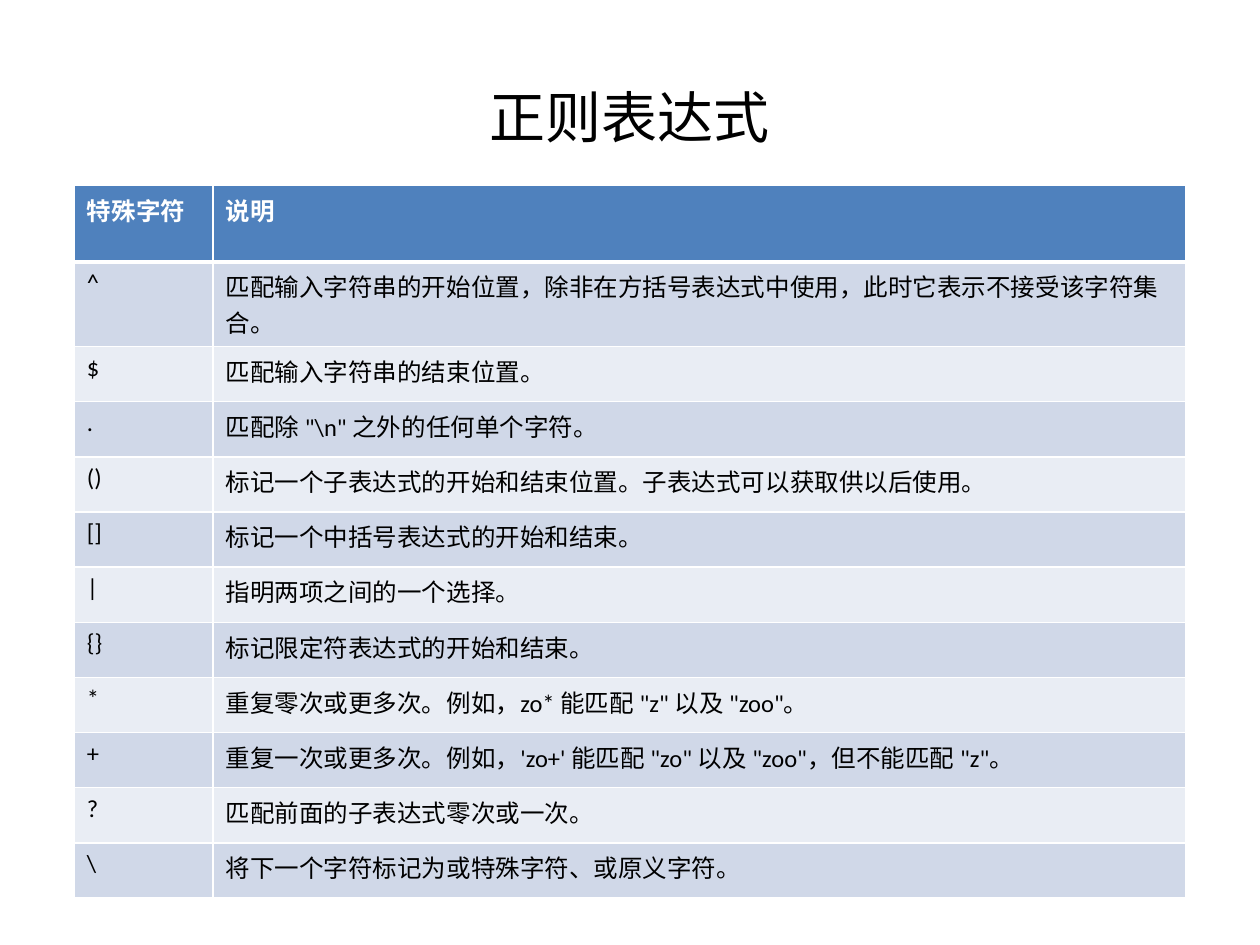
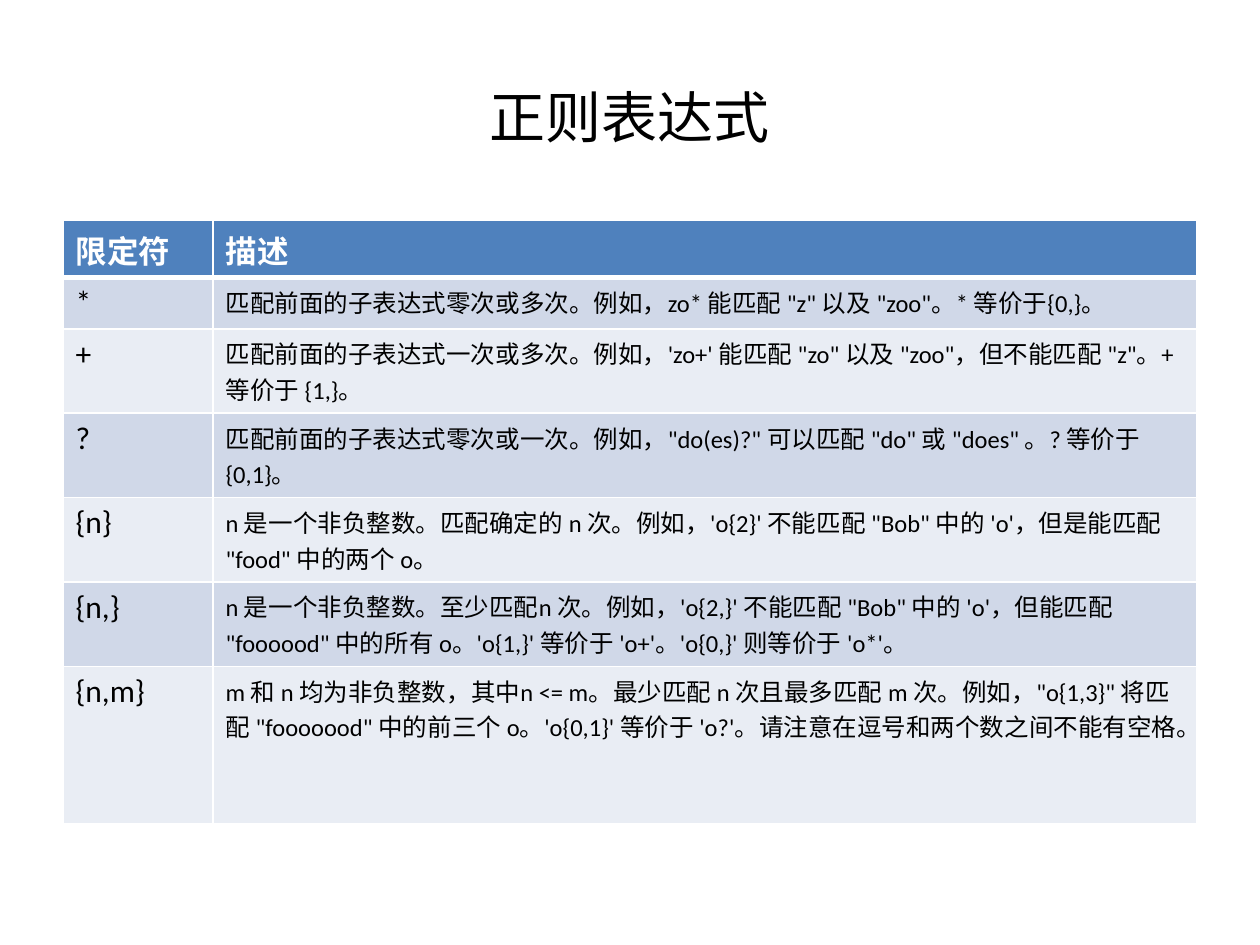
from dataclasses import dataclass

from lxml import etree
from pptx import Presentation
from pptx import util as u
from pptx.dml.color import RGBColor
from pptx.enum import text
from pptx.oxml import ns


@dataclass(frozen=True)
class Theme:
    font: str = "Calibri"
    background: str = "FFFFFF"
    ink: str = "000000"
    header_ink: str = "FFFFFF"
    header_fill: str = "4F81BD"
    row_fills: tuple = ("D0D8E8", "E9EDF4")
    border: str = "FFFFFF"
    border_width: float = 1
    header_rule_width: float = 3
    title_size: int = 32
    body_size: int = 14
    large_size: int = 18


class Deck:
    def __init__(self, theme):
        self.theme = theme
        self.presentation = Presentation()
        self.presentation.slide_width = u.Inches(10)
        self.presentation.slide_height = u.Inches(7.5)
        self.slide = None

    def add_slide(self, title):
        self.slide = self.presentation.slides.add_slide(self.presentation.slide_layouts[6])
        fill = self.slide.background.fill
        fill.solid()
        fill.fore_color.rgb = RGBColor.from_string(self.theme.background)
        self.add_title(title)

    def style(self, paragraph, size, color, bold=False):
        font = paragraph.font
        font.name = self.theme.font
        font.size = u.Pt(size)
        font.bold = bold
        font.color.rgb = RGBColor.from_string(color)

    def add_title(self, title):
        shape = self.slide.shapes.add_textbox(u.Inches(0.5), u.Inches(0.3), u.Inches(9), u.Inches(1.25))
        frame = shape.text_frame
        frame.word_wrap = True
        frame.vertical_anchor = text.MSO_ANCHOR.MIDDLE
        paragraph = frame.paragraphs[0]
        paragraph.text = title
        paragraph.alignment = text.PP_ALIGN.CENTER
        self.style(paragraph, self.theme.title_size, self.theme.ink)

    def add_borders(self, cell, bottom_width):
        properties = cell._tc.get_or_add_tcPr()
        width = self.theme.border_width
        for side, points in (("L", width), ("R", width), ("T", width), ("B", bottom_width)):
            line = etree.SubElement(properties, ns.qn(f"a:ln{side}"), w=str(u.Pt(points)))
            fill = etree.SubElement(line, ns.qn("a:solidFill"))
            etree.SubElement(fill, ns.qn("a:srgbClr"), val=self.theme.border)

    def add_cell(self, cell, content, size, color, fill, header):
        theme = self.theme
        self.add_borders(cell, theme.header_rule_width if header else theme.border_width)
        cell.fill.solid()
        cell.fill.fore_color.rgb = RGBColor.from_string(fill)
        paragraph = cell.text_frame.paragraphs[0]
        paragraph.text = content
        self.style(paragraph, size, color, header)

    def add_table(self, left, top, widths, heights, rows, header_size, key_size):
        theme = self.theme
        shape = self.slide.shapes.add_table(
            len(rows), len(widths), u.Inches(left), u.Inches(top),
            u.Inches(sum(widths)), u.Inches(sum(heights)))
        table = shape.table
        for column, width in zip(table.columns, widths):
            column.width = u.Inches(width)
        for index, (row, height, contents) in enumerate(zip(table.rows, heights, rows)):
            row.height = u.Inches(height)
            header = index == 0
            color = theme.header_ink if header else theme.ink
            fill = theme.header_fill if header else theme.row_fills[(index - 1) % 2]
            sizes = (header_size, header_size) if header else (key_size, theme.body_size)
            for cell, content, size in zip(row.cells, contents, sizes):
                self.add_cell(cell, content, size, color, fill, header)

    def save(self):
        self.presentation.save("out.pptx")


TITLE = "正则表达式"

SPECIAL_CHARACTERS = [
    ("特殊字符", "说明"),
    ("^", "匹配输入字符串的开始位置，除非在方括号表达式中使用，此时它表示不接受该字符集合。"),
    ("$", "匹配输入字符串的结束位置。"),
    (".", "匹配除 \"\\n\" 之外的任何单个字符。"),
    ("()", "标记一个子表达式的开始和结束位置。子表达式可以获取供以后使用。"),
    ("[]", "标记一个中括号表达式的开始和结束。"),
    ("|", "指明两项之间的一个选择。"),
    ("{}", "标记限定符表达式的开始和结束。"),
    ("*", "重复零次或更多次。例如，zo* 能匹配 \"z\" 以及 \"zoo\"。"),
    ("+", "重复一次或更多次。例如，'zo+' 能匹配 \"zo\" 以及 \"zoo\"，但不能匹配 \"z\"。"),
    ("?", "匹配前面的子表达式零次或一次。"),
    ("\\", "将下一个字符标记为或特殊字符、或原义字符。"),
]

QUANTIFIERS = [
    ("限定符", "描述"),
    ("*", "匹配前面的子表达式零次或多次。例如，zo* 能匹配 \"z\" 以及 \"zoo\"。* 等价于{0,}。"),
    ("+", "匹配前面的子表达式一次或多次。例如，'zo+' 能匹配 \"zo\" 以及 \"zoo\"，"
          "但不能匹配 \"z\"。+ 等价于 {1,}。"),
    ("?", "匹配前面的子表达式零次或一次。例如，\"do(es)?\" 可以匹配 \"do\" 或 \"does\" 。"
          "? 等价于 {0,1}。"),
    ("{n}", "n 是一个非负整数。匹配确定的 n 次。例如，'o{2}' 不能匹配 \"Bob\" 中的 'o'，"
            "但是能匹配 \"food\" 中的两个 o。"),
    ("{n,}", "n 是一个非负整数。至少匹配n 次。例如，'o{2,}' 不能匹配 \"Bob\" 中的 'o'，"
             "但能匹配 \"foooood\" 中的所有 o。'o{1,}' 等价于 'o+'。'o{0,}' 则等价于 'o*'。"),
    ("{n,m}", "m 和 n 均为非负整数，其中n <= m。最少匹配 n 次且最多匹配 m 次。例如，"
              "\"o{1,3}\" 将匹配 \"fooooood\" 中的前三个 o。'o{0,1}' 等价于 'o?'。"
              "请注意在逗号和两个数之间不能有空格。"),
]

theme = Theme()
deck = Deck(theme)

deck.add_slide(TITLE)
deck.add_table(0.59, 1.47, [1.1, 7.72], [0.61, 0.67] + [4.38 / 10] * 10,
               SPECIAL_CHARACTERS, theme.body_size, theme.body_size)

deck.add_slide(TITLE)
deck.add_table(0.5, 1.75, [1.19, 7.81], [0.45, 0.41] + [0.67] * 4 + [1.25],
               QUANTIFIERS, theme.large_size, theme.large_size)

deck.save()
